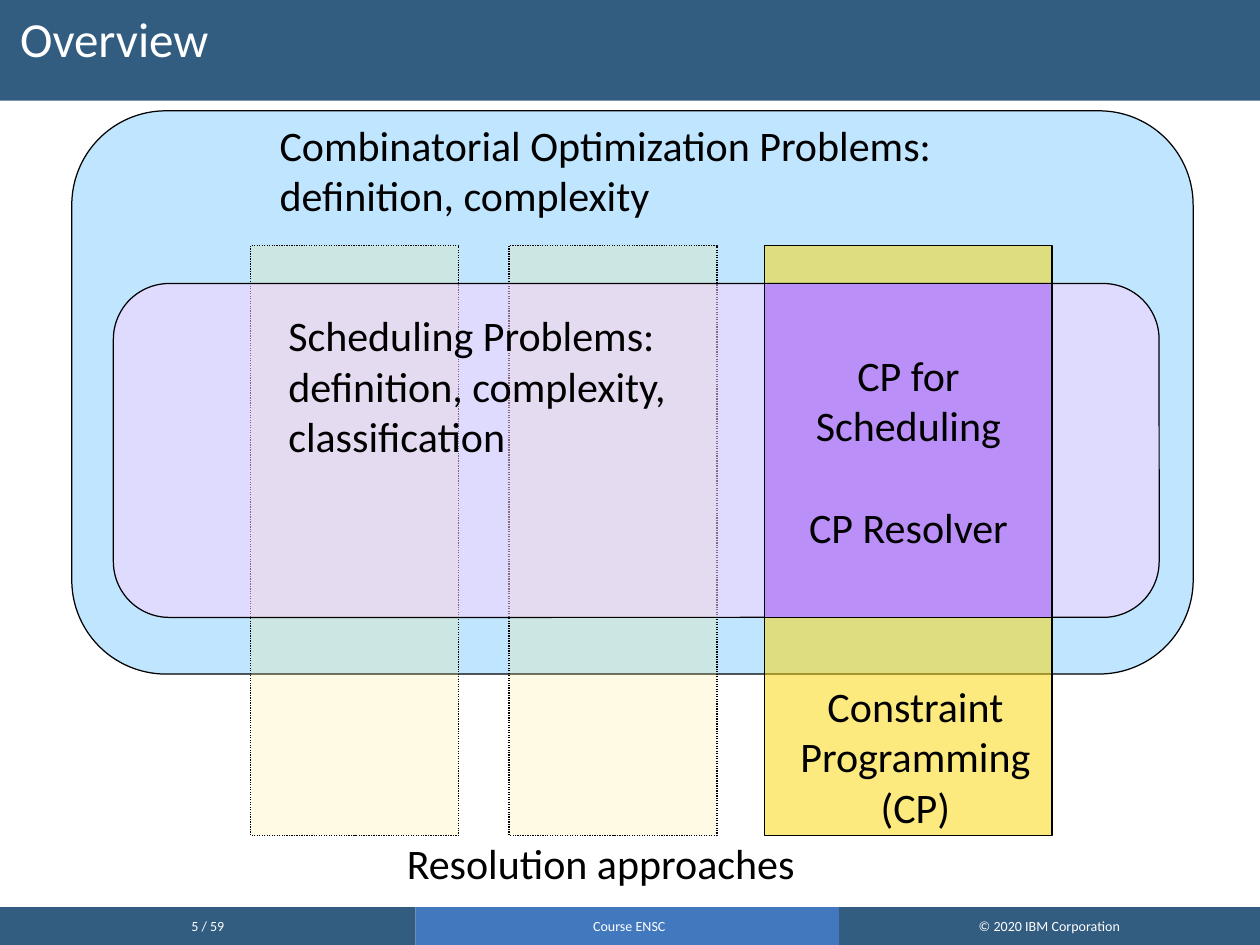
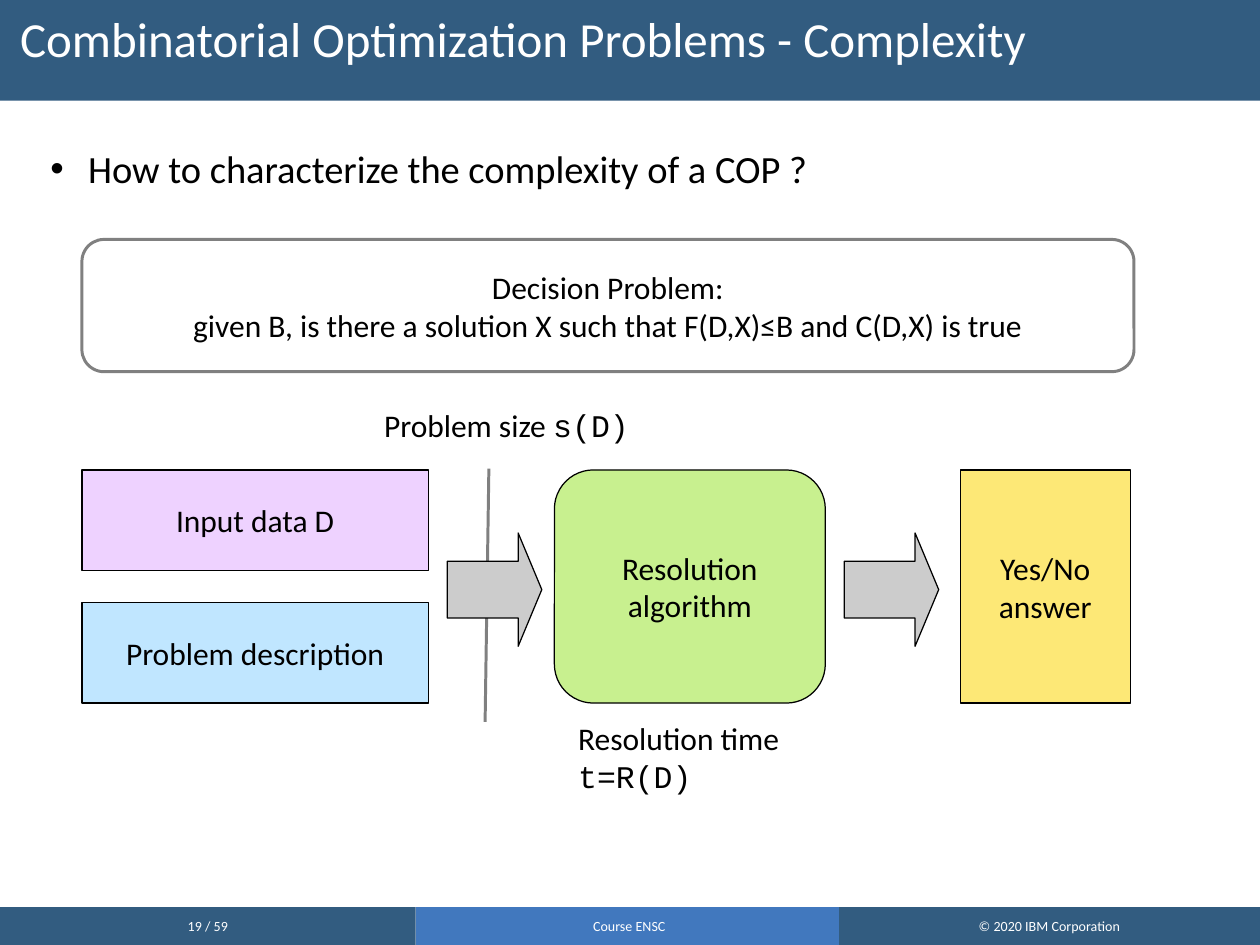
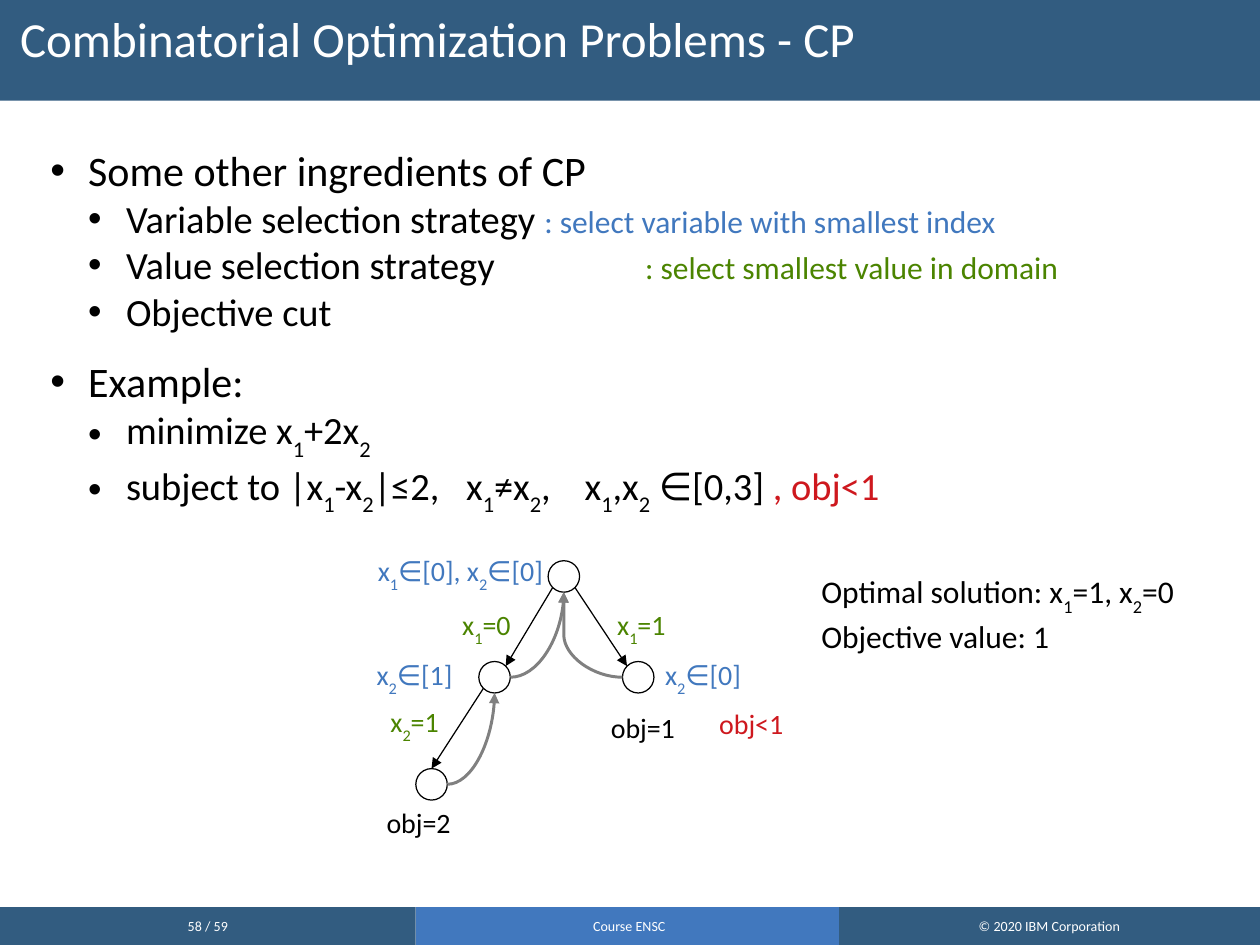
from math import sqrt

from lxml import etree
from pptx import Presentation
from pptx.dml.color import RGBColor
from pptx.enum.dml import MSO_LINE
from pptx.enum.shapes import MSO_CONNECTOR, MSO_SHAPE
from pptx.enum.text import MSO_ANCHOR, MSO_AUTO_SIZE, PP_ALIGN
from pptx.oxml.ns import qn
from pptx.util import Inches, Pt

RECTANGLE, ROUNDED = MSO_SHAPE.RECTANGLE, MSO_SHAPE.ROUNDED_RECTANGLE
ARROW, OVAL = MSO_SHAPE.RIGHT_ARROW, MSO_SHAPE.OVAL
STRAIGHT, CURVE = MSO_CONNECTOR.STRAIGHT, MSO_CONNECTOR.CURVE
LEFT, CENTER = PP_ALIGN.LEFT, PP_ALIGN.CENTER
TOP, MIDDLE = MSO_ANCHOR.TOP, MSO_ANCHOR.MIDDLE

BLACK = RGBColor(0x00, 0x00, 0x00)
WHITE = RGBColor(0xFF, 0xFF, 0xFF)
NAVY = RGBColor(0x32, 0x5C, 0x80)
BLUE = RGBColor(0x41, 0x78, 0xBE)
GREEN = RGBColor(0x4B, 0x84, 0x00)
RED = RGBColor(0xCE, 0x18, 0x1E)
GRAY = RGBColor(0x80, 0x80, 0x80)
SILVER = RGBColor(0xCC, 0xCC, 0xCC)
SKY = RGBColor(0xC0, 0xE6, 0xFF)
CREAM = RGBColor(0xFD, 0xE8, 0x76)
GOLD = RGBColor(0xFD, 0xD6, 0x00)
PINK = RGBColor(0xFF, 0xD2, 0xFF)
LILAC = RGBColor(0xEE, 0xD2, 0xFF)
VIOLET = RGBColor(0xBA, 0x8F, 0xF7)
LIME = RGBColor(0xC8, 0xF0, 0x8F)

FONT, CODE_FONT = "Calibri", "Courier New"
WIDTH, HEIGHT = 10, 7.5
BAND_HEIGHT, FOOTER_HEIGHT = 0.8, 0.3
FOOTER_TOP = HEIGHT - FOOTER_HEIGHT
THIN, THICK = 0.71, 1.7
CODE = {"font": CODE_FONT}

# A paragraph is a string or a list of (text, overrides) runs; "_" lowers the next character.
FOOTERS = [("Course ENSC", 3.3, 3.39, BLUE), ("© 2020 IBM Corporation", 6.66, 3.34, NAVY)]

APPROACHES = [(1.99, 1.65, CREAM, 20), (4.04, 1.65, CREAM, 20), (6.07, 2.28, GOLD, 50)]
OVERVIEW_LABELS = [
    ((3.13, 6.6, 3.78, 0.5), LEFT, ["Resolution approaches"]),
    ((6.07, 5.35, 2.39, 1.3), CENTER, ["Constraint", "Programming", "(CP)"]),
    ((2.19, 2.41, 3.67, 1.3), LEFT,
     ["Scheduling Problems:", "definition, complexity,", "classification"]),
    ((2.12, 0.9, 6.21, 0.9), LEFT,
     ["Combinatorial Optimization Problems:", "definition, complexity"]),
]
CP_LABEL = ["CP for", "Scheduling", "CP Resolver"]

QUESTION = [(0, 22, "How to characterize the complexity of a COP ?", [])]
DECISION = ["Decision Problem:",
            "given B, is there a solution X such that F(D,X)≤B and C(D,X) is true"]
INPUTS = [("Input data D", LILAC), ("Problem description", SKY)]
PROBLEM_SIZE = [[("Problem size ", {}), ("s(D)", CODE)]]
RESOLUTION_TIME = ["Resolution time", [("t=R(D)", CODE)]]

# Level, size, paragraph, tab stops
INGREDIENTS = [
    (0, 24, "Some other ingredients of CP", []),
    (1, 22, [("Variable selection strategy ", {}),
             (": select variable with smallest index", {"size": 18, "color": BLUE})], []),
    (1, 22, [("Value selection strategy\t", {}),
             (": select smallest value in domain", {"size": 18, "color": GREEN})], [4.72]),
    (1, 22, "Objective cut", []),
    (0, 24, "Example:", []),
    (1, 22, "minimize x_1+2x_2", []),
    (1, 22, [("subject to |x_1-x_2|≤2,\tx_1≠x_2,\tx_1,x_2 ∈[0,3] ", {}),
             (", obj<1", {"color": RED})], [3.3, 4.24]),
]
NODE = 0.25
NODES = {"root": (4.35, 4.45), "left": (3.8, 5.25), "leaf": (3.3, 6.1), "right": (4.94, 5.25)}
TREE_LABELS = [
    ("x_1∈[0], x_2∈[0]", 2.9, 4.34, 1.84, BLUE),
    ("x_2∈[1]", 2.89, 5.17, 1.3, BLUE),
    ("x_2∈[0]", 5.18, 5.17, 1.3, BLUE),
    ("x_1=0", 3.57, 4.77, 0.71, GREEN),
    ("x_1=1", 4.8, 4.77, 0.71, GREEN),
    ("x_2=1", 3, 5.54, 0.71, GREEN),
    ("obj=2", 2.97, 6.34, 0.96, BLACK),
    ("obj=1", 4.75, 5.59, 0.96, BLACK),
    ("obj<1", 5.61, 5.56, 0.96, RED),
]
SOLUTION = ["Optimal solution: x_1=1, x_2=0", "Objective value: 1"]


def add_run(paragraph, text, size, color, font=FONT, lowered=False):
    if not text:
        return
    run = paragraph.add_run()
    run.text = text
    run.font.name = font
    run.font.size = Pt(size)
    run.font.color.rgb = color
    if lowered:
        run.font._element.set("baseline", "-33000")


def write_paragraph(paragraph, content, size, color):
    runs = [(content, {})] if isinstance(content, str) else content
    for text, overrides in runs:
        style = {"size": size, "color": color, **overrides}
        first, *others = text.split("_")
        add_run(paragraph, first, **style)
        for part in others:
            add_run(paragraph, part[0], lowered=True, **style)
            add_run(paragraph, part[1:], **style)


def prepare_frame(frame, anchor, top_margin=0.05):
    frame.word_wrap = True
    frame.auto_size = MSO_AUTO_SIZE.NONE
    frame.vertical_anchor = anchor
    frame.margin_left = frame.margin_right = Inches(0.1)
    frame.margin_top, frame.margin_bottom = Inches(top_margin), Inches(0.05)


def paragraphs_of(frame, count):
    return [frame.paragraphs[0]] + [frame.add_paragraph() for _ in range(count - 1)]


def write_lines(frame, lines, size, color=BLACK, align=CENTER, anchor=MIDDLE):
    prepare_frame(frame, anchor)
    for paragraph, content in zip(paragraphs_of(frame, len(lines)), lines):
        paragraph.alignment = align
        write_paragraph(paragraph, content, size, color)


def place(shape, box):
    shape.left, shape.top, shape.width, shape.height = map(Inches, box)


def add_label(slide, box, lines, size, color=BLACK, align=LEFT):
    label = slide.shapes.add_textbox(*map(Inches, box))
    write_lines(label.text_frame, lines, size, color, align, TOP)


def add_block(slide, kind, box, fill, line=BLACK, line_width=THIN, opacity=100,
              adjustments=None, lines=(), size=18, color=BLACK):
    """Add a filled preset shape, with centred lines of text if any are given."""
    shape = slide.shapes.add_shape(kind, *map(Inches, box))
    shape.shadow.inherit = False
    shape.fill.solid()
    shape.fill.fore_color.rgb = fill
    if opacity < 100:
        color_element = shape._element.spPr.find(qn("a:solidFill"))[0]
        etree.SubElement(color_element, qn("a:alpha"), val=str(opacity * 1000))
    if line is None:
        shape.line.fill.background()
    else:
        shape.line.color.rgb = line
        shape.line.width = Pt(line_width)
    if kind == ROUNDED:
        adjustments = [0.167]
    for index, value in enumerate(adjustments or []):
        shape.adjustments[index] = value
    if lines:
        write_lines(shape.text_frame, lines, size, color)
    return shape


def add_line(slide, start, end, color=BLACK, width=THIN, kind=STRAIGHT, arrow=True):
    connector = slide.shapes.add_connector(kind, *map(Inches, (*start, *end)))
    connector.line.color.rgb = color
    connector.line.width = Pt(width)
    properties = connector._element.spPr
    if arrow:
        etree.SubElement(properties.find(qn("a:ln")), qn("a:tailEnd"), type="triangle")
    etree.SubElement(properties, qn("a:effectLst"))
    return connector


def add_footer(slide, text, left, width, fill):
    return add_block(slide, RECTANGLE, (left, FOOTER_TOP, width, FOOTER_HEIGHT), fill,
                     line=None, lines=[text], size=8, color=WHITE)


def move_bands_to_master(presentation, slide):
    bands = [add_block(slide, RECTANGLE, (-0.1, -0.1, WIDTH + 0.2, BAND_HEIGHT + 0.1),
                       NAVY, line=None)]
    bands += [add_footer(slide, *footer) for footer in FOOTERS]
    tree = presentation.slide_master.shapes._spTree
    for position, band in enumerate(bands, start=2):
        tree.insert(position, band._element)


def add_slide(presentation, layout_index, title, page):
    slide = presentation.slides.add_slide(presentation.slide_layouts[layout_index])
    heading = slide.shapes.title
    place(heading, (0, 0, WIDTH, BAND_HEIGHT))
    prepare_frame(heading.text_frame, TOP, top_margin=0.12)
    paragraph = heading.text_frame.paragraphs[0]
    paragraph.alignment = LEFT
    paragraph.line_spacing = 0.9
    paragraph._p.get_or_add_pPr().set("marL", str(Inches(0.06)))
    write_paragraph(paragraph, title, 28, WHITE)
    add_footer(slide, f"{page} / 59", 0, 3.3, NAVY)
    return slide


def fill_body(slide, height, items):
    body = slide.placeholders[1]
    place(body, (0.3, 1.1, 9.3, height))
    frame = body.text_frame
    prepare_frame(frame, TOP)
    for index, (level, size, content, tabs) in enumerate(items):
        paragraph = frame.add_paragraph() if index else frame.paragraphs[0]
        paragraph.level = level
        properties = paragraph._p.get_or_add_pPr()
        properties.set("marL", str(Inches(0.3 * (level + 1))))
        properties.set("indent", str(Inches(-0.3)))
        etree.SubElement(properties, qn("a:buChar"), char="•")
        if tabs:
            tab_list = etree.SubElement(properties, qn("a:tabLst"))
            for tab in tabs:
                etree.SubElement(tab_list, qn("a:tab"), pos=str(Inches(tab)), algn="l")
        paragraph.space_before = Pt(12.5 if index and level == 0 else 0)
        write_paragraph(paragraph, content, size, BLACK)


def build_overview(slide):
    column_top, column_height = 1.95, 4.68
    scheduling_top, scheduling_height = 2.25, 2.65
    add_block(slide, ROUNDED, (0.57, 0.88, 8.9, 4.47), SKY)
    for left, width, fill, opacity in APPROACHES:
        column = add_block(slide, RECTANGLE, (left, column_top, width, column_height),
                           fill, opacity=opacity)
        if fill == CREAM:
            column.line.dash_style = MSO_LINE.ROUND_DOT
    add_block(slide, ROUNDED, (0.9, scheduling_top, 8.3, scheduling_height), PINK, opacity=50)
    for box, align, lines in OVERVIEW_LABELS:
        add_label(slide, box, lines, 24, align=align)
    left, width = APPROACHES[-1][:2]
    crossing = add_block(slide, RECTANGLE, (left, scheduling_top, width, scheduling_height),
                         VIOLET, lines=CP_LABEL, size=24)
    crossing.text_frame.paragraphs[-1].space_before = Pt(29.3)


def build_complexity(slide):
    left, top, height = 0.65, 3.73, 1.85
    input_height, input_step = 0.8, 1.05
    fill_body(slide, 0.75, QUESTION)
    add_block(slide, ROUNDED, (left, 1.9, 8.35, 1.05), WHITE, GRAY, THICK, lines=DECISION)
    for row, (text, fill) in enumerate(INPUTS):
        add_block(slide, RECTANGLE, (left, top + row * input_step, 2.75, input_height),
                  fill, lines=[text])
    add_block(slide, ROUNDED, (4.4, top, 2.15, height), LIME, lines=["Resolution", "algorithm"])
    add_block(slide, RECTANGLE, (7.62, top, 1.35, height), CREAM, lines=["Yes/No", "answer"])
    add_line(slide, (3.88, 3.72), (3.85, 5.73), GRAY, THICK, arrow=False)
    for arrow_left in (3.55, 6.7):
        add_block(slide, ARROW, (arrow_left, 4.23, 0.75, 0.9), SILVER, adjustments=[0.5, 0.25])
    add_label(slide, (2.95, 3.17, 2.33, 0.4), PROBLEM_SIZE, 18)
    add_label(slide, (4.49, 5.66, 2.04, 0.7), RESOLUTION_TIME, 18)


def node_edge(name, across, down):
    """Point on a node's circle in the direction (across, down) from its centre."""
    left, top = NODES[name]
    scale = NODE / 2 / sqrt(across ** 2 + down ** 2)
    return left + NODE / 2 + across * scale, top + NODE / 2 + down * scale


def add_backtrack(slide, child, side, parent, preset):
    curve = add_line(slide, node_edge(child, side, 0), node_edge(parent, 0, 1),
                     GRAY, THICK, CURVE)
    geometry = curve._element.spPr.find(qn("a:prstGeom"))
    geometry.set("prst", preset)
    if preset == "curvedConnector3":
        guides = geometry.find(qn("a:avLst"))
        etree.SubElement(guides, qn("a:gd"), name="adj1", fmla="val 100000")


def build_search_tree(slide):
    fill_body(slide, 5.8, INGREDIENTS)
    for left, top in NODES.values():
        add_block(slide, OVAL, (left, top, NODE, NODE), WHITE)
    add_line(slide, node_edge("root", -1, 1), node_edge("left", 1, -1))
    add_line(slide, node_edge("root", 1, 1), node_edge("right", -1, -1))
    add_line(slide, node_edge("left", -1, 1), node_edge("leaf", 0, -1))
    add_backtrack(slide, "leaf", 1, "left", "curvedConnector2")
    add_backtrack(slide, "left", 1, "root", "curvedConnector2")
    add_backtrack(slide, "right", -1, "root", "curvedConnector3")
    for text, left, top, width, color in TREE_LABELS:
        add_label(slide, (left, top, width, 0.42), [text], 16, color)
    add_label(slide, (6.42, 4.49, 3.42, 0.76), SOLUTION, 18)


def main():
    presentation = Presentation()
    presentation.slide_width, presentation.slide_height = Inches(WIDTH), Inches(HEIGHT)
    overview = add_slide(presentation, 5, "Overview", 5)
    move_bands_to_master(presentation, overview)
    build_overview(overview)
    build_complexity(add_slide(
        presentation, 1, "Combinatorial Optimization Problems - Complexity", 19))
    build_search_tree(add_slide(
        presentation, 1, "Combinatorial Optimization Problems - CP", 58))
    presentation.save("out.pptx")


if __name__ == "__main__":
    main()
